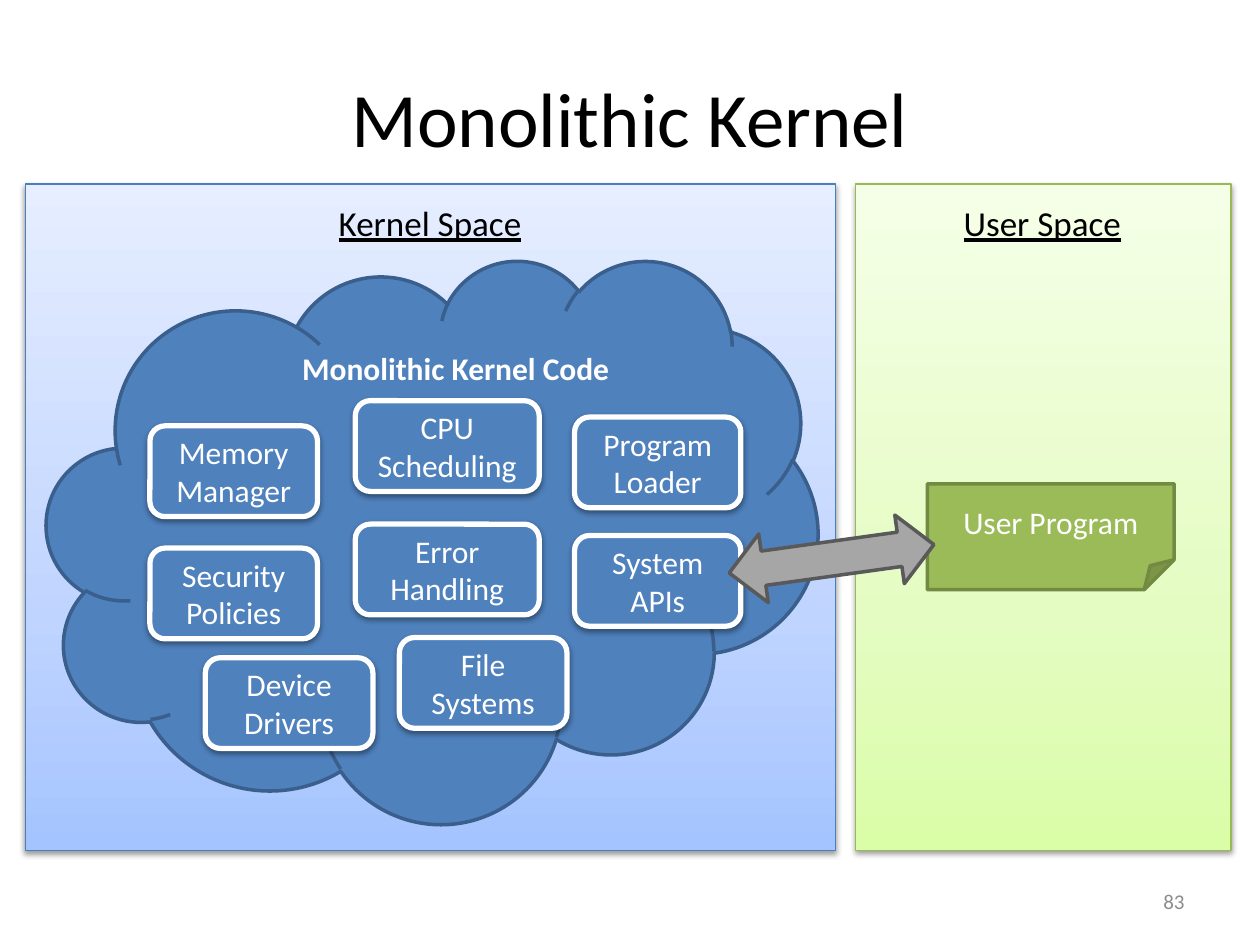
import copy

import lxml.etree
import pptx
import pptx.dml.color
import pptx.enum.shapes
import pptx.enum.text
import pptx.oxml.ns
import pptx.util

Inches = pptx.util.Inches
Pt = pptx.util.Pt
RGBColor = pptx.dml.color.RGBColor
SHAPE = pptx.enum.shapes.MSO_SHAPE
ALIGN = pptx.enum.text.PP_ALIGN
ANCHOR = pptx.enum.text.MSO_ANCHOR
AUTO = pptx.enum.text.MSO_AUTO_SIZE
qn = pptx.oxml.ns.qn

BLACK = RGBColor(0x00, 0x00, 0x00)
WHITE = RGBColor(0xFF, 0xFF, 0xFF)
NUMBER_GRAY = RGBColor(0x8C, 0x8C, 0x8C)
BLUE = RGBColor(0x4F, 0x81, 0xBD)
DARK_BLUE = RGBColor(0x3A, 0x5F, 0x8C)
PANEL_BLUE = RGBColor(0x4B, 0x7E, 0xBC)
GREEN = RGBColor(0x9B, 0xBB, 0x59)
DARK_GREEN = RGBColor(0x73, 0x8A, 0x42)
PANEL_GREEN = RGBColor(0x98, 0xB9, 0x55)
GRAY = RGBColor(0xA6, 0xA6, 0xA6)
DARK_GRAY = RGBColor(0x59, 0x59, 0x59)
BLUE_STOPS = (RGBColor(0xA4, 0xC4, 0xFF), RGBColor(0xBF, 0xD4, 0xFF), RGBColor(0xE6, 0xEE, 0xFF))
GREEN_STOPS = (RGBColor(0xDA, 0xFD, 0xA7), RGBColor(0xE4, 0xFC, 0xC2), RGBColor(0xF5, 0xFF, 0xE7))

TOP_ROW, MIDDLE_ROW = (3.38, 3.18, 3.31), (4.35, 4.16, 4.25)
COLUMNS = ((1.19, 1.33), (2.82, 1.46), (4.56, 1.32))
GRID = (
    (("Memory Manager", "CPU Scheduling", "Program Loader"), TOP_ROW),
    (("Security Policies", "Error Handling", "System APIs"), MIDDLE_ROW),
)
BOTTOM_MODULES = (("Device Drivers", 1.63, 5.22), ("File Systems", 3.17, 5.06))


def write(tf, text, size=18, color=WHITE, align=ALIGN.CENTER, bold=False, underline=False):
    """Put one formatted line of text into a text frame."""
    p = tf.paragraphs[0]
    p.alignment = align
    r = p.add_run()
    r.text = text
    r.font.name = "Calibri"
    r.font.size = Pt(size)
    r.font.color.rgb = color
    r.font.bold = bold
    r.font.underline = underline


def add_shape(shapes, kind, box, line, width, fill=None):
    """Add a preset shape with a plain fill and outline."""
    s = shapes.add_shape(kind, *map(Inches, box))
    s.shadow.inherit = False
    if fill is not None:
        s.fill.solid()
        s.fill.fore_color.rgb = fill
    s.line.color.rgb = line
    s.line.width = Pt(width)
    return s


def add_shadow(s):
    """Give a shape a soft shadow below it."""
    effects = s._element.spPr.find(qn("a:effectLst"))
    shadow = lxml.etree.SubElement(
        effects, qn("a:outerShdw"), blurRad="40000", dist="20000", dir="5400000", rotWithShape="0"
    )
    color = lxml.etree.SubElement(shadow, qn("a:srgbClr"), val="000000")
    lxml.etree.SubElement(color, qn("a:alpha"), val="38000")


def add_label(shapes, text, box, **style):
    """Add an unwrapped text label."""
    tf = shapes.add_textbox(*map(Inches, box)).text_frame
    tf.word_wrap = False
    tf.auto_size = AUTO.SHAPE_TO_FIT_TEXT
    write(tf, text, align=ALIGN.LEFT, **style)


def add_panel(shapes, left, width, line, stops, title, title_left, title_width):
    """Add a gradient panel with an underlined heading."""
    sp = shapes.add_group_shape().shapes
    s = add_shape(sp, SHAPE.RECTANGLE, (left, 1.46, width, 5.29), line, 0.75)
    s.fill.gradient()
    s.fill.gradient_angle = 90
    gs = s._element.spPr.find(".//" + qn("a:gsLst"))
    gs.append(copy.deepcopy(gs[0]))
    for stop, position, color in zip(s.fill.gradient_stops, (0, 0.35, 1), stops):
        stop.position = position
        stop.color.rgb = color
    add_shadow(s)
    add_label(sp, title, (title_left, 1.55, title_width, 0.44), size=20, color=BLACK, underline=True)


def add_module(shapes, text, left, top, width):
    """Add a rounded box for one kernel module."""
    s = add_shape(shapes, SHAPE.ROUNDED_RECTANGLE, (left, top, width, 0.72), WHITE, 3, BLUE)
    add_shadow(s)
    s.text_frame.word_wrap = True
    s.text_frame.vertical_anchor = ANCHOR.MIDDLE
    write(s.text_frame, text)


def add_kernel(shapes):
    """Add the kernel cloud with its modules."""
    sp = shapes.add_group_shape().shapes
    add_shape(sp, SHAPE.CLOUD, (0.37, 2.06, 6.12, 4.47), DARK_BLUE, 2, BLUE)
    for names, tops in GRID:
        for name, top, (left, width) in zip(names, tops, COLUMNS):
            add_module(sp, name, left, top, width)
    for name, left, top in BOTTOM_MODULES:
        add_module(sp, name, left, top, 1.33)
    add_label(sp, "Monolithic Kernel Code", (2.3, 2.72, 2.66, 0.4), bold=True)


def add_user_program(shapes):
    """Add the user program and its arrow to the system APIs."""
    s = add_shape(shapes, SHAPE.FOLDED_CORNER, (7.36, 3.84, 1.96, 0.84), DARK_GREEN, 2, GREEN)
    guides = s._element.spPr.find(".//" + qn("a:avLst"))
    lxml.etree.SubElement(guides, qn("a:gd"), name="adj", fmla="val 28300")
    s.text_frame.word_wrap = True
    s.text_frame.vertical_anchor = ANCHOR.MIDDLE
    write(s.text_frame, "User Program")
    arrow = add_shape(shapes, SHAPE.LEFT_RIGHT_ARROW, (5.78, 4.16, 1.64, 0.55), DARK_GRAY, 2, GRAY)
    arrow.rotation = 352.1


def add_title(slide, text):
    """Fill and place the title placeholder."""
    s = slide.shapes.title
    s.left, s.top, s.width, s.height = map(Inches, (0.5, 0.3, 9, 1.25))
    s.text_frame.vertical_anchor = ANCHOR.MIDDLE
    write(s.text_frame, text, size=44, color=BLACK)


def add_number(shapes, text):
    """Add the slide number."""
    tf = shapes.add_textbox(*map(Inches, (7.17, 6.95, 2.33, 0.4))).text_frame
    tf.word_wrap = True
    tf.vertical_anchor = ANCHOR.MIDDLE
    write(tf, text, size=12, color=NUMBER_GRAY, align=ALIGN.RIGHT)


def main():
    """Build the slide and save it."""
    prs = pptx.Presentation()
    prs.slide_width, prs.slide_height = Inches(10), Inches(7.5)
    slide = prs.slides.add_slide(prs.slide_layouts[5])
    shapes = slide.shapes
    add_title(slide, "Monolithic Kernel")
    add_number(shapes, "83")
    add_panel(shapes, 6.79, 2.98, PANEL_GREEN, GREEN_STOPS, "User Space", 7.55, 1.47)
    add_panel(shapes, 0.2, 6.43, PANEL_BLUE, BLUE_STOPS, "Kernel Space", 2.59, 1.67)
    add_kernel(shapes)
    add_user_program(shapes)
    prs.save("out.pptx")


if __name__ == "__main__":
    main()
